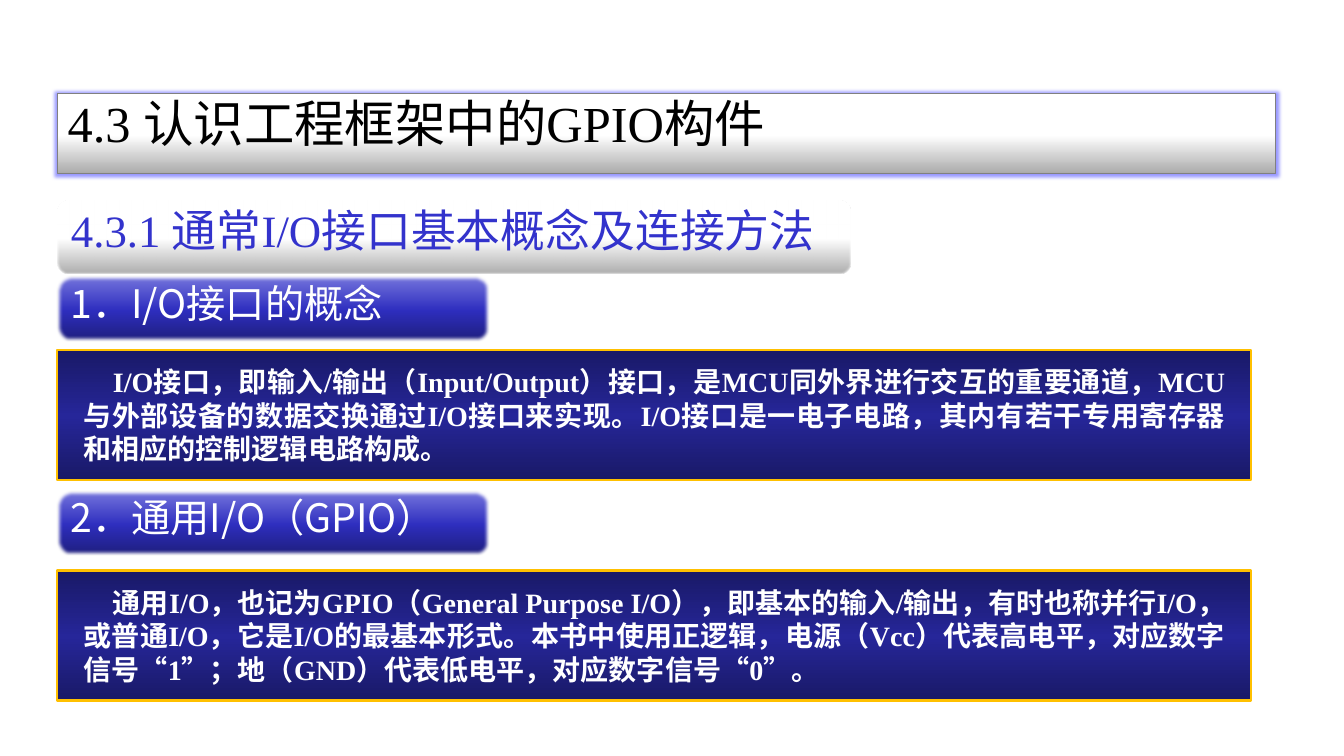
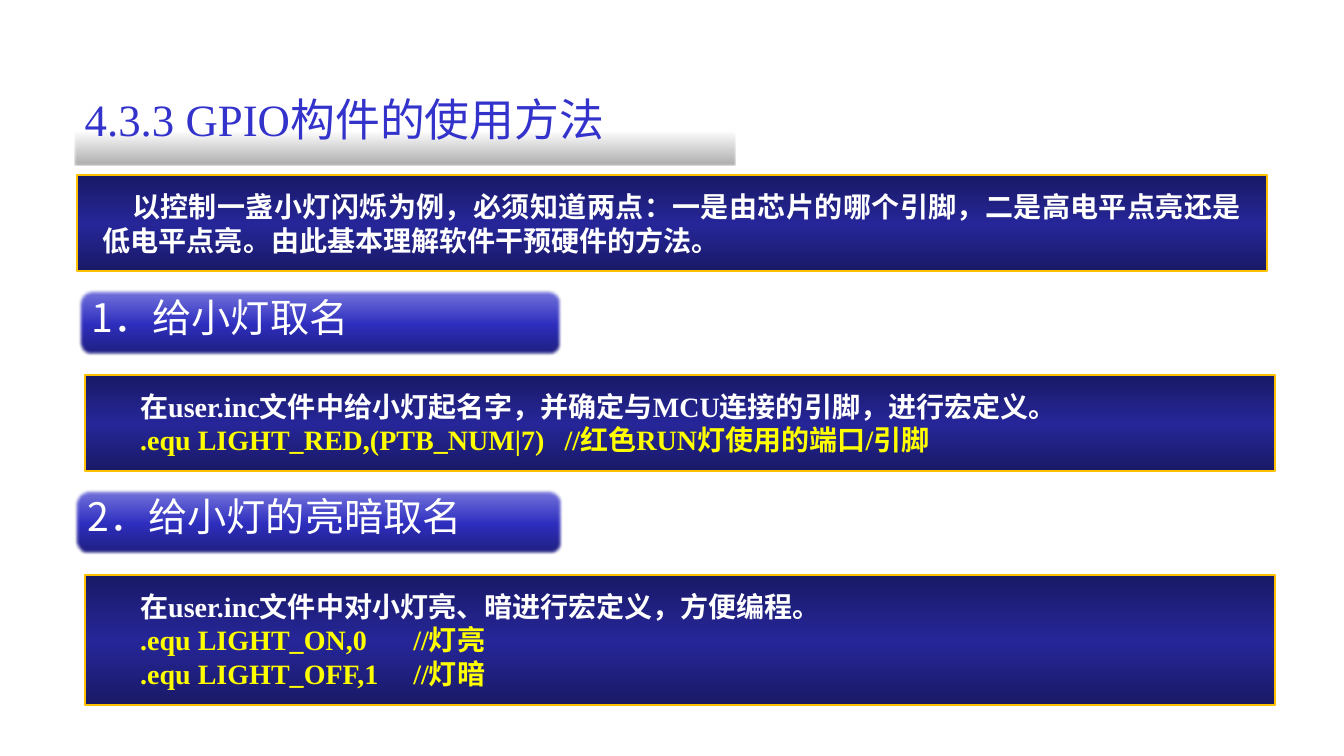
from dataclasses import dataclass

from lxml.etree import SubElement
from pptx import Presentation
from pptx.dml.color import RGBColor
from pptx.enum.shapes import MSO_SHAPE as Shape
from pptx.enum.text import MSO_ANCHOR as Anchor, MSO_AUTO_SIZE as AutoSize, PP_ALIGN as Align
from pptx.oxml.ns import qn
from pptx.util import Inches, Pt

WHITE = RGBColor(0xFF, 0xFF, 0xFF)
BLACK = RGBColor(0x00, 0x00, 0x00)
BLUE = RGBColor(0x33, 0x33, 0xCC)
YELLOW = RGBColor(0xFF, 0xFF, 0x00)
GOLD = RGBColor(0xFF, 0xC0, 0x00)
GRAY = RGBColor(0x80, 0x80, 0x80)
SILVER = RGBColor(0xAB, 0xAB, 0xAB)
GLOW = RGBColor(0x99, 0x99, 0xFF)
NAVY = RGBColor(0x19, 0x19, 0x66)
INDIGO = RGBColor(0x26, 0x26, 0x99)
PILL_DARK = RGBColor(0x1E, 0x1E, 0x7C)
PILL_MID = RGBColor(0x2F, 0x2F, 0xC0)
PILL_LIGHT = RGBColor(0x78, 0x78, 0xDE)

SERIF = "Times New Roman"
SANS = "Noto Sans CJK SC"

# Gradient stops run from the bottom edge to the top edge.
SILVER_BAND = [(0, SILVER), (48, WHITE), (100, WHITE)]
PILL_BAND = [(0, PILL_DARK), (48, PILL_MID), (100, PILL_LIGHT)]
PANEL_BAND = [(0, NAVY), (49, INDIGO), (100, NAVY)]


@dataclass(frozen=True)
class HeadingStyle:
    size: int
    font: str
    color: RGBColor
    band: list
    outlined: bool = False
    glow: float = 0
    soft_edge: float = 0


CHAPTER = HeadingStyle(36, SERIF, BLACK, SILVER_BAND, outlined=True, glow=5)
SECTION = HeadingStyle(32, SERIF, BLUE, SILVER_BAND, soft_edge=1)
TOPIC = HeadingStyle(28, SANS, WHITE, PILL_BAND, outlined=True, soft_edge=2.5)


def place(shape, box):
    shape.left, shape.top, shape.width, shape.height = map(Inches, box)


def fill_gradient(shape, stops):
    shape.fill.gradient()
    shape.fill.gradient_angle = 90
    stop_list = shape._element.spPr.find(qn("a:gradFill")).find(qn("a:gsLst"))
    for old_stop in list(stop_list):
        stop_list.remove(old_stop)
    for percent, color in stops:
        stop = SubElement(stop_list, qn("a:gs"), pos=str(percent * 1000))
        SubElement(stop, qn("a:srgbClr"), val=str(color))


def set_outline(shape, color, width):
    shape.line.color.rgb = color
    shape.line.width = Pt(width)


def set_effects(shape, glow=0, soft_edge=0):
    """Replace the theme shadow by a glow or soft edge, radii in points."""
    shape.shadow.inherit = False
    effects = shape._element.spPr.find(qn("a:effectLst"))
    if glow:
        halo = SubElement(effects, qn("a:glow"), rad=str(Pt(glow)))
        SubElement(halo, qn("a:srgbClr"), val=str(GLOW))
    if soft_edge:
        SubElement(effects, qn("a:softEdge"), rad=str(Pt(soft_edge)))


def format_runs(paragraph, font, size, color, bold=False):
    for run in paragraph.runs:
        run.font.name = font
        run.font.size = Pt(size)
        run.font.bold = bold
        run.font.color.rgb = color
        properties = run.font._element
        properties.set("lang", "zh-CN")
        east_asian = properties.makeelement(qn("a:ea"), {"typeface": SANS})
        properties.find(qn("a:latin")).addnext(east_asian)


def style_heading(shape, text, style):
    fill_gradient(shape, style.band)
    if style.outlined:
        set_outline(shape, GRAY, 0.75)
    else:
        shape.line.fill.background()
    set_effects(shape, style.glow, style.soft_edge)
    frame = shape.text_frame
    frame.text = text
    frame.word_wrap = False
    frame.auto_size = AutoSize.NONE
    frame.vertical_anchor = Anchor.TOP
    heading = frame.paragraphs[0]
    heading.alignment = Align.LEFT
    heading.line_spacing = 0.9
    format_runs(heading, style.font, style.size, style.color)


def set_title(slide, text, box, style):
    """Turn the title placeholder into a rounded heading band."""
    title = slide.shapes.title
    place(title, box)
    outline = title._element.spPr.makeelement(qn("a:prstGeom"), {"prst": "roundRect"})
    SubElement(outline, qn("a:avLst"))
    title._element.spPr.find(qn("a:xfrm")).addnext(outline)
    style_heading(title, text, style)


def add_heading(slide, text, box, style):
    band = slide.shapes.add_shape(Shape.ROUNDED_RECTANGLE, *map(Inches, box))
    style_heading(band, text, style)


def add_panel(slide, box, explanation, code=()):
    """Add a navy panel: white explanation, then yellow code lines."""
    panel = slide.shapes.add_shape(Shape.RECTANGLE, *map(Inches, box))
    fill_gradient(panel, PANEL_BAND)
    set_outline(panel, GOLD, 1.5)
    set_effects(panel)
    frame = panel.text_frame
    frame.word_wrap = True
    frame.vertical_anchor = Anchor.MIDDLE
    frame.margin_left = frame.margin_right = Inches(0.26)
    frame.margin_top = frame.margin_bottom = Inches(0.14)
    frame.text = "\n".join([explanation, *code])
    for index, paragraph in enumerate(frame.paragraphs):
        paragraph.alignment = Align.JUSTIFY
        paragraph.line_spacing = Pt(24)
        properties = paragraph._p.get_or_add_pPr()
        properties.set("marL", "0")
        properties.set("indent", str(Inches(0.29)))
        if index:
            tabs = SubElement(properties, qn("a:tabLst"))
            SubElement(tabs, qn("a:tab"), pos=str(Inches(5)), algn="l")
        format_runs(paragraph, SERIF, 20, YELLOW if index else WHITE, bold=True)


def build_concepts(slide):
    left, panel_width = 0.57, 11.84
    set_title(slide, "4.3 认识工程框架中的GPIO构件", (left, 0.93, 12.08, 0.79), CHAPTER)
    add_heading(slide, "4.3.1 通常I/O接口基本概念及连接方法", (left, 1.99, 7.87, 0.72), SECTION)
    topics = [
        (2.74, "1．I/O接口的概念", 3.47,
         "I/O接口，即输入/输出（Input/Output）接口，是MCU同外界进行交互的重要通道，"
         "MCU与外部设备的数据交换通过I/O接口来实现。I/O接口是一电子电路，"
         "其内有若干专用寄存器和相应的控制逻辑电路构成。"),
        (4.87, "2．通用I/O（GPIO）", 5.66,
         "通用I/O，也记为GPIO（General Purpose I/O），即基本的输入/输出，"
         "有时也称并行I/O，或普通I/O，它是I/O的最基本形式。本书中使用正逻辑，"
         "电源（Vcc）代表高电平，对应数字信号“1”；地（GND）代表低电平，对应数字信号“0”。"),
    ]
    for topic_top, topic, panel_top, explanation in topics:
        add_heading(slide, topic, (left, topic_top, 4.28, 0.64), TOPIC)
        add_panel(slide, (left, panel_top, panel_width, 1.29), explanation)


def build_usage(slide):
    panel_width = 11.81
    set_title(slide, "4.3.3 GPIO构件的使用方法", (0.74, 0.92, 6.56, 0.72), SECTION)
    add_panel(slide, (0.76, 1.74, panel_width, 0.95),
              "以控制一盏小灯闪烁为例，必须知道两点：一是由芯片的哪个引脚，"
              "二是高电平点亮还是低电平点亮。由此基本理解软件干预硬件的方法。")
    topics = [
        ((0.78, 2.88, 4.78, 0.64), "1．给小灯取名", (0.84, 3.72, panel_width, 0.95),
         "在user.inc文件中给小灯起名字，并确定与MCU连接的引脚，进行宏定义。",
         [".equ LIGHT_RED,(PTB_NUM|7)\t//红色RUN灯使用的端口/引脚"]),
        ((0.74, 4.86, 4.83, 0.64), "2．给小灯的亮暗取名", (0.84, 5.7, panel_width, 1.29),
         "在user.inc文件中对小灯亮、暗进行宏定义，方便编程。",
         [".equ LIGHT_ON,0\t//灯亮", ".equ LIGHT_OFF,1\t//灯暗"]),
    ]
    for topic_box, topic, panel_box, explanation, code in topics:
        add_heading(slide, topic, topic_box, TOPIC)
        add_panel(slide, panel_box, explanation, code)


def main():
    deck = Presentation()
    deck.slide_width, deck.slide_height = Inches(13.33), Inches(7.5)
    title_only = deck.slide_layouts[5]
    for build in (build_concepts, build_usage):
        build(deck.slides.add_slide(title_only))
    deck.save("out.pptx")


if __name__ == "__main__":
    main()
